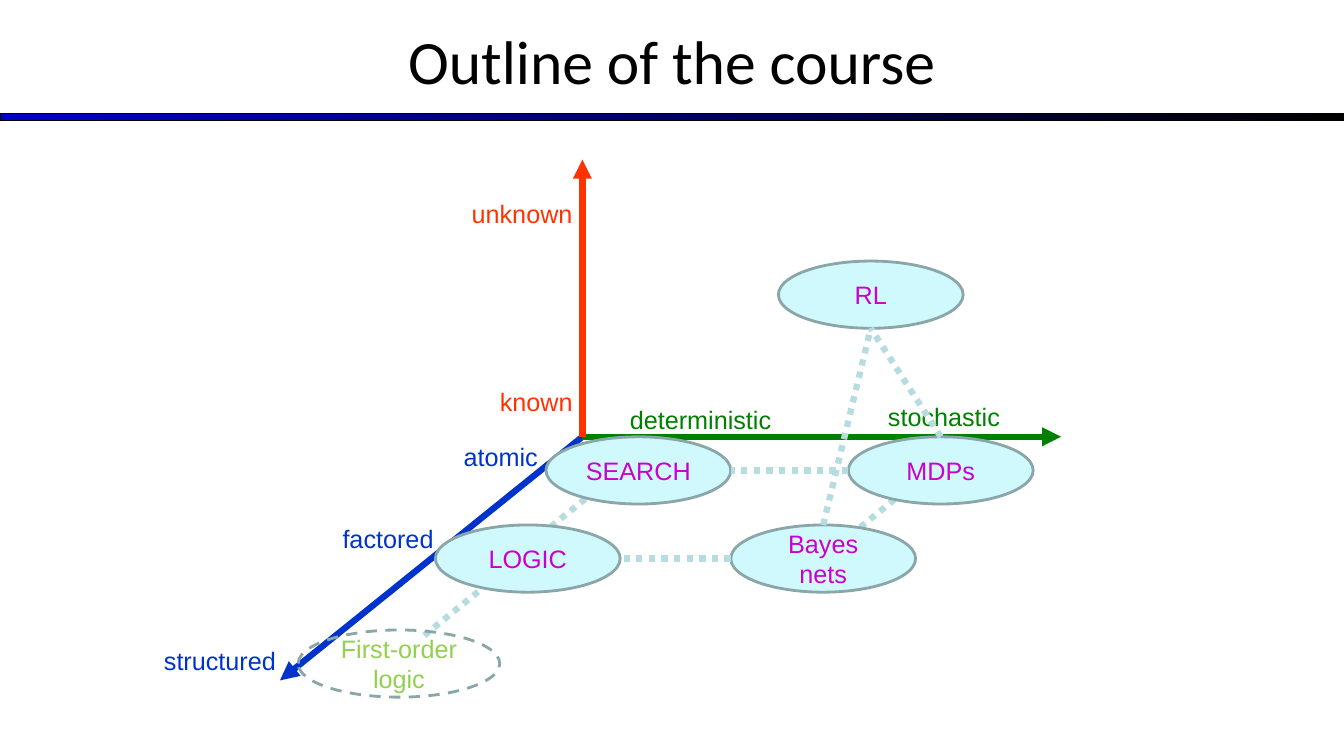
from lxml import etree
from pptx import Presentation
from pptx.dml.color import RGBColor
from pptx.enum.dml import MSO_LINE
from pptx.enum.shapes import MSO_CONNECTOR, MSO_SHAPE
from pptx.enum.text import MSO_ANCHOR, MSO_AUTO_SIZE, PP_ALIGN
from pptx.oxml.ns import qn
from pptx.util import Pt

STRAIGHT = MSO_CONNECTOR.STRAIGHT
OVAL, RECTANGLE = MSO_SHAPE.OVAL, MSO_SHAPE.RECTANGLE
DOTTED, DASHED = MSO_LINE.ROUND_DOT, MSO_LINE.DASH
CENTER, MIDDLE = PP_ALIGN.CENTER, MSO_ANCHOR.MIDDLE

COLORS = {
    "black": "000000", "bar": "0000CC", "structure": "0033CC",
    "chance": "008000", "knowledge": "FF3300", "link": "B6DCDF",
    "topic_fill": "D0F9FE", "topic_line": "8AA6A8",
    "topic_text": "CC00CC", "optional_text": "92D050",
}
WIDTH, HEIGHT = 960, 540
DIAGRAM = (110, 114, 648, 384)
ORIGIN = (306, 198)
TOPIC_WIDTH, TOPIC_HEIGHT = 132, 48
LABEL_HEIGHT = 28.8

# Positions below are relative to the diagram box.
AXES = [
    ("structure", (90, 372), [("atomic", 214, 198, 68.4),
                              ("factored", 127.6, 256, 80),
                              ("structured", 0, 343.2, 95)]),
    ("chance", (648, 198), [("deterministic", 332.8, 171.2, 120.2),
                            ("stochastic", 517.2, 169, 95)]),
    ("knowledge", (306, 0), [("known", 240, 158.2, 67),
                             ("unknown", 219.8, 24.3, 87)]),
]
TOPICS = {
    "RL": (446, 72.5), "Bayes nets": (412, 261), "LOGIC": (201, 261),
    "SEARCH": (280, 198), "MDPs": (496, 198),
}
OPTIONAL_TOPIC = ("First-order logic", 103, 336, 144)
DEPTH_LINKS = [(322, 231), (238.5, 303), (536, 237)]
DEPTH_STEP = (-48, 39)
TOPIC_LINKS = [("Bayes nets", "top", "RL", "bottom"),
               ("MDPs", "left", "SEARCH", "right"),
               ("Bayes nets", "left", "LOGIC", "right"),
               ("MDPs", "top", "RL", "bottom")]
SIDES = {"top": (0.5, 0), "left": (0, 0.5), "bottom": (0.5, 1), "right": (1, 0.5)}


def color(name):
    return RGBColor.from_string(COLORS[name])


def write(paragraph, text, color_name, size=18, font="Arial"):
    run = paragraph.add_run()
    run.text = text
    run.font.size, run.font.name = Pt(size), font
    run.font.color.rgb = color(color_name)


def add_line(shapes, start, end, color_name, dash=None, arrow=False):
    line = shapes.add_connector(STRAIGHT, *map(Pt, (*start, *end)))
    line.line.color.rgb = color(color_name)
    line.line.width = Pt(4.5)
    if dash:
        line.line.dash_style = dash
    if arrow:
        etree.SubElement(line.line._get_or_add_ln(), qn("a:tailEnd"), type="triangle")
    etree.SubElement(line._element.spPr, qn("a:effectLst"))


def add_header(slide, left, top, width, height):
    title = slide.shapes.title
    title.left, title.top, title.width, title.height = map(
        Pt, (left, top, width, height))
    title.text_frame.vertical_anchor = MIDDLE
    paragraph = title.text_frame.paragraphs[0]
    paragraph.alignment = CENTER
    write(paragraph, "Outline of the course", "black", 44, "Calibri")

    bar = slide.shapes.add_shape(
        RECTANGLE, Pt(left), Pt(top + 83.4), Pt(width), Pt(5))
    bar.shadow.inherit = False
    bar.fill.gradient()
    bar.fill.gradient_angle = 0
    for stop, name, position in zip(bar.fill.gradient_stops, ("bar", "black"), (0, 1)):
        stop.color.rgb = color(name)
        stop.position = position
    bar.line.color.rgb = color("black")
    bar.line.width = Pt(0.75)


def add_axis(slide, left, top, color_name, tip, labels):
    shapes = slide.shapes.add_group_shape().shapes
    add_line(shapes, (left + ORIGIN[0], top + ORIGIN[1]),
             (left + tip[0], top + tip[1]), color_name, arrow=True)
    for text, x, y, width in labels:
        label = shapes.add_textbox(Pt(left + x), Pt(top + y), Pt(width), Pt(LABEL_HEIGHT))
        label.text_frame.word_wrap = False
        label.text_frame.auto_size = MSO_AUTO_SIZE.SHAPE_TO_FIT_TEXT
        write(label.text_frame.paragraphs[0], text, color_name)


def add_topic(slide, text, left, top, width=TOPIC_WIDTH, optional=False):
    topic = slide.shapes.add_shape(OVAL, *map(Pt, (left, top, width, TOPIC_HEIGHT)))
    topic.shadow.inherit = False
    topic.line.color.rgb = color("topic_line")
    topic.line.width = Pt(2)
    if optional:
        topic.fill.background()
        topic.line.dash_style = DASHED
    else:
        topic.fill.solid()
        topic.fill.fore_color.rgb = color("topic_fill")
    topic.text_frame.word_wrap = True
    topic.text_frame.vertical_anchor = MIDDLE
    paragraph = topic.text_frame.paragraphs[0]
    paragraph.alignment = CENTER
    write(paragraph, text, "optional_text" if optional else "topic_text")


def add_diagram(slide, left, top, width, height):
    """Draw the three axes, the topics between them and their dotted links."""
    def side_point(name, side):
        x, y = TOPICS[name]
        across, down = SIDES[side]
        return left + x + across * TOPIC_WIDTH, top + y + down * TOPIC_HEIGHT

    for x, y in DEPTH_LINKS:
        start = (left + x, top + y)
        end = (start[0] + DEPTH_STEP[0], start[1] + DEPTH_STEP[1])
        add_line(slide.shapes, start, end, "link", DOTTED)
    for axis in AXES:
        add_axis(slide, left, top, *axis)
    for name, (x, y) in TOPICS.items():
        add_topic(slide, name, left + x, top + y)
    name, x, y, topic_width = OPTIONAL_TOPIC
    add_topic(slide, name, left + x, top + y, topic_width, optional=True)
    for first, first_side, second, second_side in TOPIC_LINKS:
        add_line(slide.shapes, side_point(first, first_side),
                 side_point(second, second_side), "link", DOTTED)


def main():
    presentation = Presentation()
    presentation.slide_width, presentation.slide_height = Pt(WIDTH), Pt(HEIGHT)
    slide = presentation.slides.add_slide(presentation.slide_layouts[5])
    add_header(slide, 0, -2, WIDTH, 90)
    add_diagram(slide, *DIAGRAM)
    presentation.save("out.pptx")


if __name__ == "__main__":
    main()
